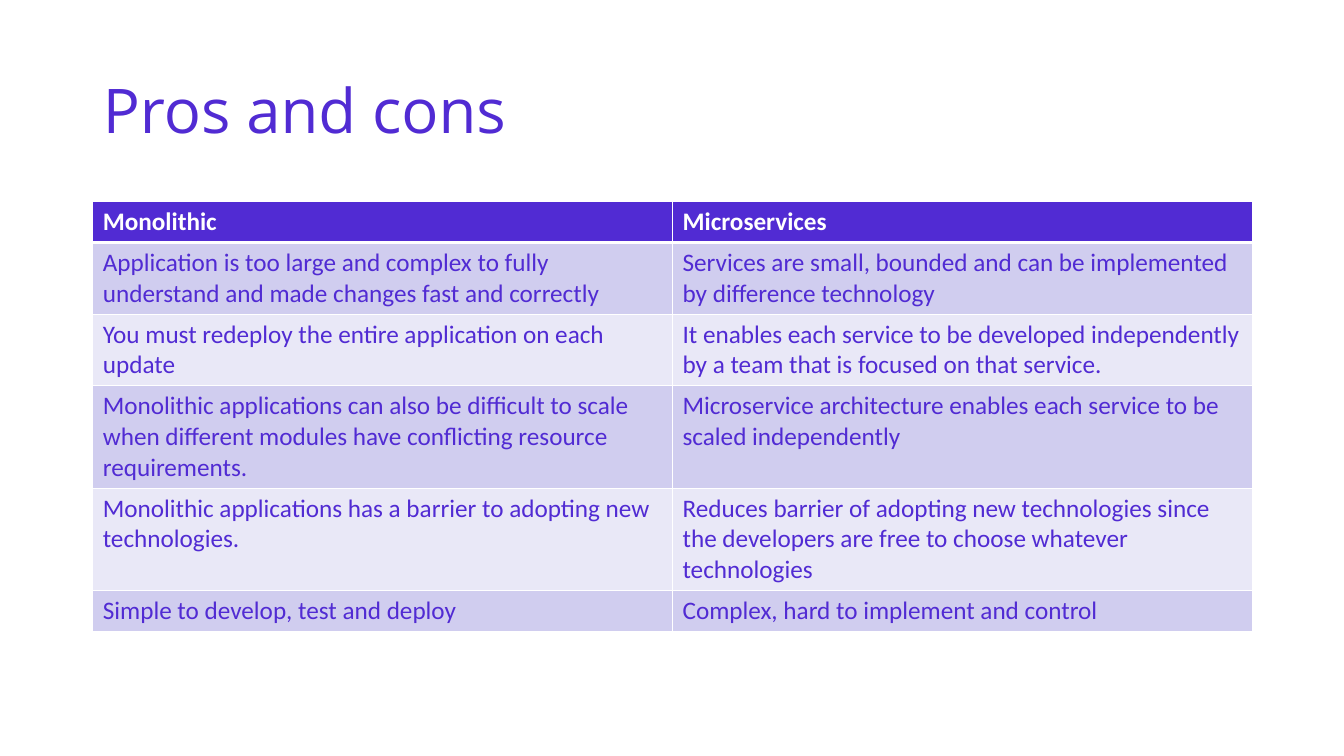
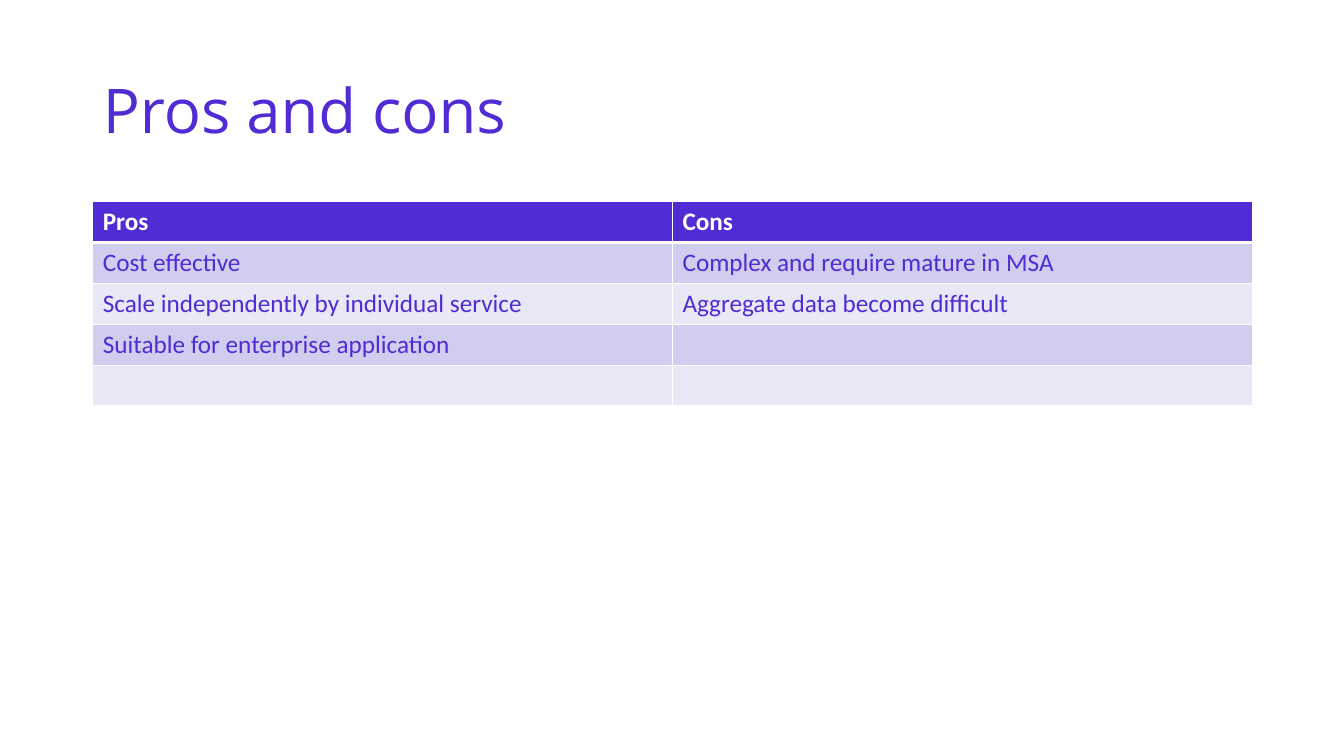
from dataclasses import dataclass

import pptx
import pptx.dml.color
import pptx.enum.text
import pptx.oxml
import pptx.oxml.ns
import pptx.presentation
import pptx.slide
import pptx.table
import pptx.util

SLIDE_WIDTH = pptx.util.Inches(13.33)
SLIDE_HEIGHT = pptx.util.Inches(7.5)
MARGIN = pptx.util.Inches(0.92)
CONTENT_WIDTH = pptx.util.Inches(11.5)
TITLE_TOP = pptx.util.Inches(0.4)
TITLE_HEIGHT = pptx.util.Inches(1.45)
TABLE_TOP = pptx.util.Inches(2)
ROW_HEIGHT = pptx.util.Inches(0.405)

PURPLE = "512BD3"
WHITE = "FFFFFF"
BAND_FILLS = ("D0CDEF", "E9E8F7")
TITLE_FONT = "Open Sans"
BODY_FONT = "Calibri"
THIN_BORDER = 1
HEADER_BORDER = 3
TITLE_ONLY_LAYOUT = 5


@dataclass(frozen=True)
class ComparisonSlide:
    title: str
    header: tuple[str, str]
    rows: tuple[tuple[str, str], ...]


COMPARISONS = (
    ComparisonSlide(
        "Pros and cons",
        ("Monolithic", "Microservices"),
        (
            ("Application is too large and complex to fully understand and made changes fast and correctly",
             "Services are small, bounded and can be implemented by difference technology"),
            ("You must redeploy the entire application on each update",
             "It enables each service to be developed independently by a team that is focused on that service."),
            ("Monolithic applications can also be difficult to scale when different modules "
             "have conflicting resource requirements.",
             "Microservice architecture enables each service to be scaled independently"),
            ("Monolithic applications has a barrier to adopting new technologies.",
             "Reduces barrier of adopting new technologies since the developers are free "
             "to choose whatever technologies"),
            ("Simple to develop, test and deploy", "Complex, hard to implement and control"),
        ),
    ),
    ComparisonSlide(
        "Pros and cons",
        ("Pros", "Cons"),
        (
            ("Cost effective", "Complex and require mature in MSA"),
            ("Scale independently by individual service", "Aggregate data become difficult"),
            ("Suitable for enterprise application", ""),
            ("", ""),
        ),
    ),
)


def color(value: str) -> pptx.dml.color.RGBColor:
    return pptx.dml.color.RGBColor.from_string(value)


def add_run(paragraph, text: str, font_name: str, size: float, font_color: str, bold: bool = False) -> None:
    run = paragraph.add_run()
    run.text = text
    run.font.name = font_name
    run.font.size = pptx.util.Pt(size)
    run.font.bold = bold
    run.font.color.rgb = color(font_color)


def add_title(slide: pptx.slide.Slide, text: str) -> None:
    title = slide.shapes.title
    title.left, title.top = MARGIN, TITLE_TOP
    title.width, title.height = CONTENT_WIDTH, TITLE_HEIGHT
    title.text_frame.vertical_anchor = pptx.enum.text.MSO_ANCHOR.MIDDLE
    paragraph = title.text_frame.paragraphs[0]
    paragraph.alignment = pptx.enum.text.PP_ALIGN.LEFT
    paragraph.line_spacing = 0.9
    add_run(paragraph, text, TITLE_FONT, 44, PURPLE)


def set_borders(cell, top: float, bottom: float) -> None:
    """Draw white borders; call before filling, since lines precede the fill in a:tcPr."""
    properties = cell._tc.get_or_add_tcPr()
    widths = {"lnL": THIN_BORDER, "lnR": THIN_BORDER, "lnT": top, "lnB": bottom}
    for tag, width in widths.items():
        properties.append(pptx.oxml.parse_xml(
            f'<a:{tag} {pptx.oxml.ns.nsdecls("a")} w="{pptx.util.Pt(width)}">'
            f'<a:solidFill><a:srgbClr val="{WHITE}"/></a:solidFill></a:{tag}>'
        ))


def format_cell(cell, row: int, text: str) -> None:
    is_header = row == 0
    set_borders(
        cell,
        top=HEADER_BORDER if row == 1 else THIN_BORDER,
        bottom=HEADER_BORDER if is_header else THIN_BORDER,
    )
    cell.fill.solid()
    cell.fill.fore_color.rgb = color(PURPLE if is_header else BAND_FILLS[(row - 1) % 2])
    if text:
        add_run(cell.text_frame.paragraphs[0], text, BODY_FONT, 18,
                WHITE if is_header else PURPLE, bold=is_header)


def add_comparison_table(slide: pptx.slide.Slide, comparison: ComparisonSlide) -> None:
    lines = (comparison.header, *comparison.rows)
    table = slide.shapes.add_table(
        len(lines), len(comparison.header),
        MARGIN, TABLE_TOP, CONTENT_WIDTH, ROW_HEIGHT * len(lines),
    ).table
    for row, texts in enumerate(lines):
        for column, text in enumerate(texts):
            format_cell(table.cell(row, column), row, text)


def add_comparison_slide(
    presentation: pptx.presentation.Presentation, comparison: ComparisonSlide
) -> None:
    slide = presentation.slides.add_slide(presentation.slide_layouts[TITLE_ONLY_LAYOUT])
    add_title(slide, comparison.title)
    add_comparison_table(slide, comparison)


def main() -> None:
    presentation = pptx.Presentation()
    presentation.slide_width = SLIDE_WIDTH
    presentation.slide_height = SLIDE_HEIGHT
    for comparison in COMPARISONS:
        add_comparison_slide(presentation, comparison)
    presentation.save("out.pptx")


if __name__ == "__main__":
    main()
